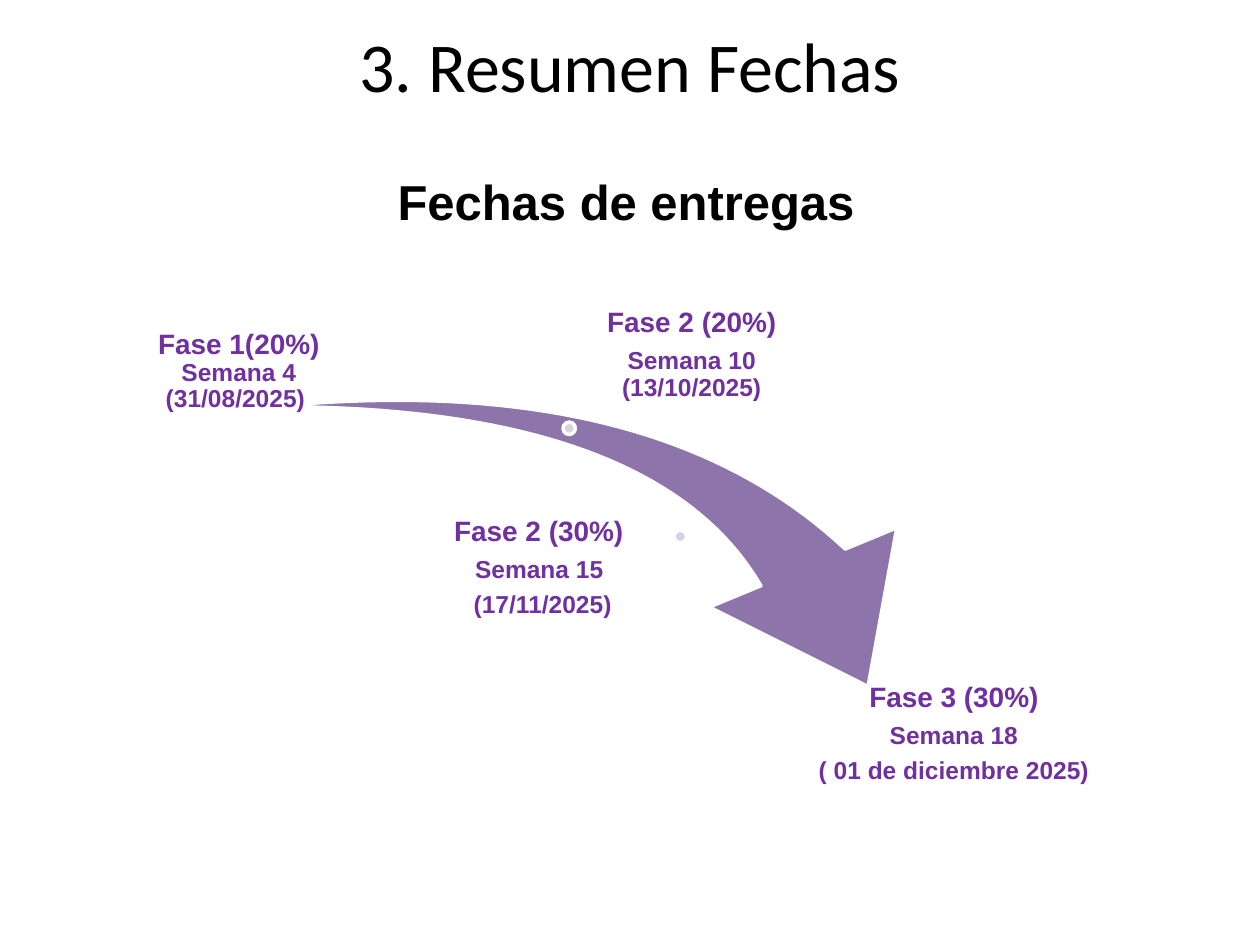
import lxml.etree
import pptx
import pptx.dml.color
import pptx.enum.shapes
import pptx.enum.text
import pptx.oxml.ns
import pptx.util

Cm = pptx.util.Cm
Pt = pptx.util.Pt
ANCHOR = pptx.enum.text.MSO_ANCHOR
BLACK, WHITE = "000000", "FFFFFF"
PURPLE, ARROW, DOT = "7030A0", "8064A2", "D7D1DF"


def colour(value):
    return pptx.dml.color.RGBColor.from_string(value)


def bezier(start, first, second, end, steps=40):
    def blend(a, b, c, d, t):
        u = 1 - t
        return u**3 * a + 3 * u * u * t * b + 3 * u * t * t * c + t**3 * d

    return [
        tuple(blend(*axis, step / steps) for axis in zip(start, first, second, end))
        for step in range(steps + 1)
    ]


class Sketch:
    """Draws styled elements on the current page."""

    def __init__(self, page):
        self.page = page

    def text(self, place, paragraphs, anchor, font="Arial", tint=PURPLE,
             bold=True, inset=0.05, spacing=0.9):
        box = self.page.shapes.add_textbox(*map(Cm, place))
        frame = box.text_frame
        frame.word_wrap = True
        frame.vertical_anchor = anchor
        frame.margin_left = frame.margin_right = Cm(inset)
        frame.margin_top = frame.margin_bottom = Cm(inset)
        for index, (before, runs) in enumerate(paragraphs):
            para = frame.add_paragraph() if index else frame.paragraphs[0]
            para.alignment = pptx.enum.text.PP_ALIGN.CENTER
            para.line_spacing = spacing
            para.space_before = Pt(before)
            for words, size in runs:
                span = para.add_run()
                span.text = words
                span.font.name = font
                span.font.size = Pt(size)
                span.font.bold = bold
                span.font.color.rgb = colour(tint)

    def heading(self, place, words, size, font, bold, anchor):
        self.text(place, [(0, [(words, size)])], anchor, font, BLACK, bold, 0.2, 1.0)

    def paint(self, shape, fill):
        shape.shadow.inherit = False
        shape.fill.solid()
        shape.fill.fore_color.rgb = colour(fill)
        shape.line.color.rgb = colour(WHITE)
        shape.line.width = Pt(2)

    def outline(self, points, fill, opacity):
        corners = [(Cm(x), Cm(y)) for x, y in points]
        builder = self.page.shapes.build_freeform(*corners[0])
        builder.add_line_segments(corners[1:], close=True)
        shape = builder.convert_to_shape()
        self.paint(shape, fill)
        tag = pptx.oxml.ns.qn
        solid = shape.fill._xPr.find(tag("a:solidFill"))
        lxml.etree.SubElement(solid[0], tag("a:alpha"), val=str(opacity * 1000))

    def dot(self, left, top, size=0.25):
        oval = pptx.enum.shapes.MSO_SHAPE.OVAL
        shape = self.page.shapes.add_shape(oval, Cm(left), Cm(top), Cm(size), Cm(size))
        self.paint(shape, DOT)


def main():
    deck = pptx.Presentation()
    deck.slide_width, deck.slide_height = Cm(25.4), Cm(19.05)
    sketch = Sketch(deck.slides.add_slide(deck.slide_layouts[6]))

    sketch.heading((1.27, 0.33, 22.86, 1.96), "3. Resumen Fechas", 40,
                   "Calibri", False, ANCHOR.MIDDLE)
    sketch.heading((1.19, 3.25, 22.86, 1.45), "Fechas de entregas", 28,
                   "Arial", True, ANCHOR.TOP)

    tail = (5.46, 8.2)
    upper = bezier(tail, (10.59, 7.7), (14.45, 8.64), (17.04, 11.07))
    head = [(18.08, 10.64), (17.5, 13.84), (14.3, 12.24)]
    lower = bezier((15.34, 11.81), (13.94, 9.4), (10.64, 8.18), tail)
    sketch.outline(upper + head + lower[:-1], ARROW, 89)
    for left, top in [(11.35, 8.51), (13.59, 10.69)]:
        sketch.dot(left, top)

    sketch.text((2.67, 6.5, 4.29, 1.88),
                [(0, [("Fase 1(20%) ", 16), ("Semana 4 (31/08/2025) ", 14)])],
                ANCHOR.BOTTOM)
    phases = [
        ((12.09, 6.22, 3.71, 1.88), ANCHOR.MIDDLE,
         ["Fase 2 (20%)", "Semana 10 (13/10/2025)"]),
        ((7.7, 10.52, 6.48, 1.88), ANCHOR.MIDDLE,
         ["Fase 2 (30%) ", "Semana 15 ", "(17/11/2025)"]),
        ((15.09, 13.72, 8.28, 2.79), ANCHOR.TOP,
         ["Fase 3 (30%)", "Semana 18", "( 01 de diciembre 2025)"]),
    ]
    for place, anchor, lines in phases:
        styles = zip((0, 5.6, 4.9), lines, (16, 14, 14))
        sketch.text(place, [(before, [(words, size)]) for before, words, size in styles],
                    anchor)

    deck.save("out.pptx")


if __name__ == "__main__":
    main()
